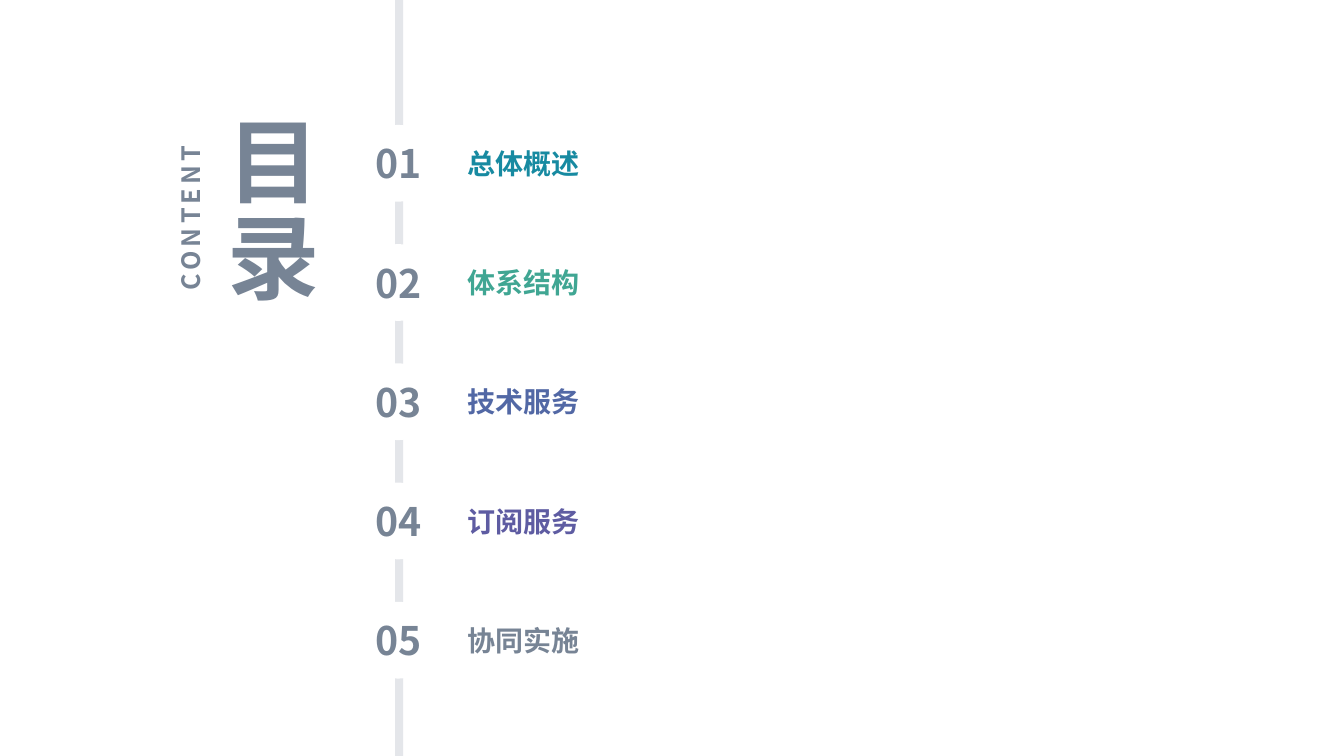
from dataclasses import dataclass

from lxml.etree import SubElement
from pptx import Presentation
from pptx.dml.color import RGBColor
from pptx.enum.shapes import MSO_SHAPE as Shape
from pptx.enum.text import MSO_ANCHOR as Anchor, PP_ALIGN as Align
from pptx.oxml.ns import qn
from pptx.util import Inches, Pt


@dataclass(frozen=True)
class Theme:
    font: str = "Noto Sans CJK SC"
    slate: str = "778495"
    rail: str = "E4E6EA"
    paper: str = "FFFFFF"
    title: int = 66
    subtitle: int = 18
    number: int = 28
    label: int = 20
    spacing: int = 3
    ring: float = 4.5


THEME = Theme()
WIDTH, HEIGHT = Inches(13.33), Inches(7.5)
FIRST_ROW, ROW_STEP = 21.6, 15.77
DISC_X, DISC_W, DISC_H = 27, 5.25, 9.33
LABEL_X, LABEL_W, LABEL_H, LABEL_INDENT = 31.88, 12.6, 5.6, 2.93

TOPICS = [
    ("总体概述", "178AA1"),
    ("体系结构", "40A693"),
    ("技术服务", "5268A5"),
    ("订阅服务", "5E5CA2"),
    ("协同实施", THEME.slate),
]


def across(share):
    return round(WIDTH * share / 100)


def down(share):
    return round(HEIGHT * share / 100)


def box(x, y, w, h):
    return across(x), down(y), across(w), down(h)


def write(tf, text, size, color, spacing=0):
    tf.text = text
    r = tf.paragraphs[0].runs[0]
    r.font.size = Pt(size)
    r.font.bold = True
    r.font.name = THEME.font
    r.font.color.rgb = RGBColor.from_string(color)
    props = r.font._element
    SubElement(props, qn("a:ea")).set("typeface", THEME.font)
    if spacing:
        props.set("spc", str(spacing * 100))


def add_solid(s, kind, area, color):
    sp = s.shapes.add_shape(kind, *area)
    sp.shadow.inherit = False
    sp.fill.solid()
    sp.fill.fore_color.rgb = RGBColor.from_string(color)
    sp.line.fill.background()
    return sp


def add_vertical_text(s, text, area, direction, size, wrap):
    tf = s.shapes.add_textbox(*area).text_frame
    tf.word_wrap = wrap
    tf._txBody.bodyPr.set("vert", direction)
    write(tf, text, size, THEME.slate, THEME.spacing)


def add_number(s, number, center):
    area = box(DISC_X, center - DISC_H / 2, DISC_W, DISC_H)
    sp = add_solid(s, Shape.OVAL, area, THEME.paper)
    sp.line.color.rgb = RGBColor.from_string(THEME.paper)
    sp.line.width = Pt(THEME.ring)
    tf = sp.text_frame
    tf.word_wrap = False
    tf.vertical_anchor = Anchor.MIDDLE
    write(tf, f"{number:02d}", THEME.number, THEME.slate)
    tf.paragraphs[0].alignment = Align.CENTER


def add_label(s, text, color, center):
    area = box(LABEL_X, center - LABEL_H / 2, LABEL_W, LABEL_H)
    tf = s.shapes.add_textbox(*area).text_frame
    tf.word_wrap = False
    tf.vertical_anchor = Anchor.MIDDLE
    tf.margin_left = across(LABEL_INDENT)
    tf.margin_top = tf.margin_right = tf.margin_bottom = 0
    write(tf, text, THEME.label, color)


def main():
    prs = Presentation()
    prs.slide_width, prs.slide_height = WIDTH, HEIGHT
    s = prs.slides.add_slide(prs.slide_layouts[6])
    add_vertical_text(s, "目录", box(14.63, 13.87, 9.98, 39.07), "eaVert", THEME.title, True)
    add_vertical_text(s, "CONTENT", box(12.68, 18, 3.98, 21.73), "vert270", THEME.subtitle, False)
    add_solid(s, Shape.RECTANGLE, box(29.4, 0, 0.6, 100), THEME.rail)
    for i, (topic, color) in enumerate(TOPICS):
        center = FIRST_ROW + i * ROW_STEP
        add_number(s, i + 1, center)
        add_label(s, topic, color, center)
    prs.save("out.pptx")


if __name__ == "__main__":
    main()
